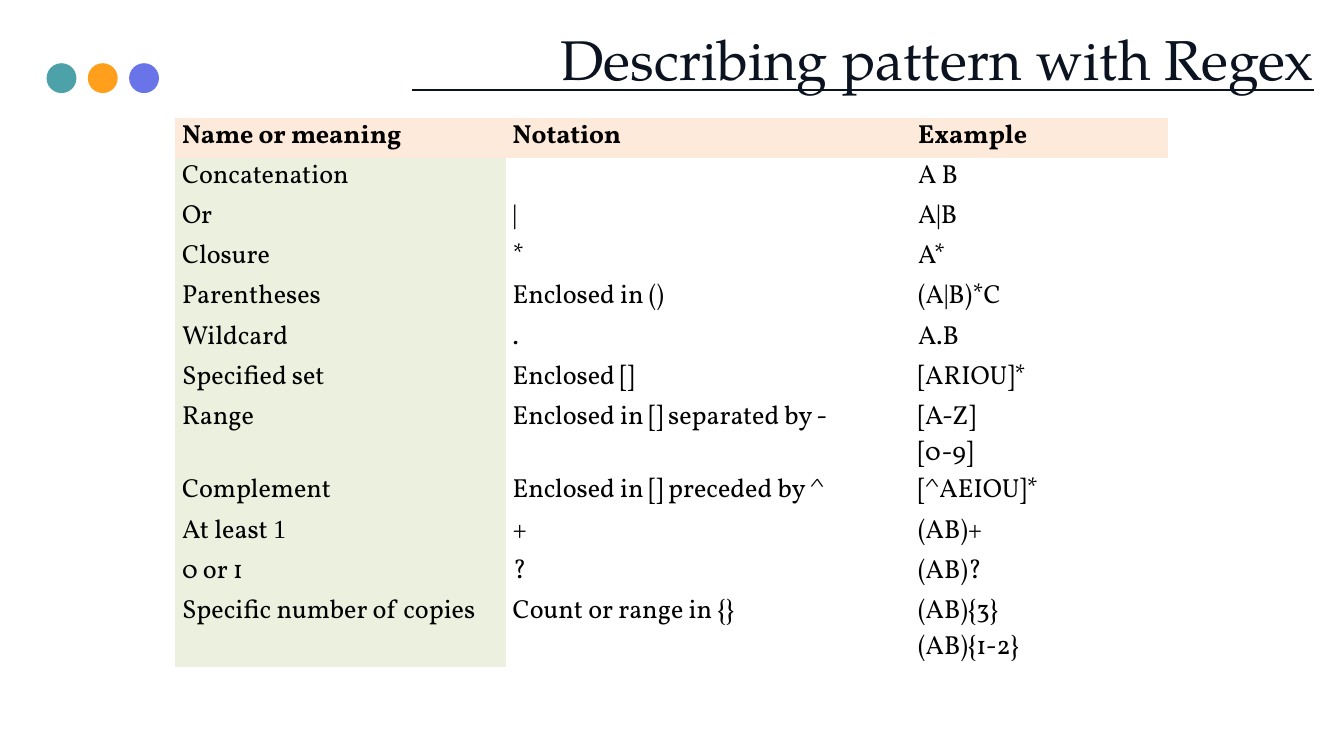
from lxml.etree import SubElement
from pptx import Presentation
from pptx.dml.color import RGBColor
from pptx.enum.shapes import MSO_CONNECTOR, MSO_SHAPE
from pptx.enum.text import MSO_ANCHOR, MSO_AUTO_SIZE, PP_ALIGN
from pptx.oxml.ns import qn
from pptx.util import Cm, Pt

COLOURS = {
    "ink": "0B1320", "text": "000000", "header": "FDEADA", "names": "EBF1DE",
    "teal": "4DA1A9", "orange": "FF9F1C", "violet": "6874E8",
}
TITLE_FONT, BODY_FONT, DIGIT_FONT = "TeX Gyre Pagella", "Vollkorn", "Times New Roman"
NO_GRID_STYLE = "{2D5ABB26-0587-4C30-8999-92F81FD0307C}"
COLUMN_WIDTHS = (12.5, 15.32, 9.7)
LINE_HEIGHTS = {1: 1.52, 2: 2.77}

# A line break starts a new paragraph.
NOTATIONS = [
    ("Name or meaning", "Notation", "Example"),
    ("Concatenation", "", "A B"),
    ("Or", "|", "A|B"),
    ("Closure", "*", "A*"),
    ("Parentheses", "Enclosed in ()", "(A|B)*C"),
    ("Wildcard", ".", "A.B"),
    ("Specified set", "Enclosed []", "[ARIOU]*"),
    ("Range", "Enclosed in [] separated by -", "[A-Z]\n[0-9]"),
    ("Complement", "Enclosed in [] preceded by ^", "[^AEIOU]*"),
    ("At least 1", "+", "(AB)+"),
    ("0 or 1", "?", "(AB)?"),
    ("Specific number of copies", "Count or range in {}", "(AB){3}\n(AB){1-2}"),
]


def colour(key):
    return RGBColor.from_string(COLOURS[key])


def set_all(target, formats):
    for attribute, value in formats.items():
        setattr(target, attribute, value)


def add_run(paragraph, text, font, size, ink, bold=False):
    run = paragraph.add_run()
    run.text = text
    set_all(run.font, {"name": font, "size": Pt(size), "bold": bold})
    run.font.color.rgb = colour(ink)


def add_title(slide, left, top, width, height):
    """Right-aligned title with a rule crossing its descenders."""
    frame = slide.shapes.add_textbox(Cm(left), Cm(top), Cm(width), Cm(height)).text_frame
    set_all(frame, {
        "margin_left": 0, "margin_right": 0, "margin_top": 0, "margin_bottom": 0,
        "word_wrap": True, "auto_size": MSO_AUTO_SIZE.SHAPE_TO_FIT_TEXT,
    })
    heading = frame.paragraphs[0]
    set_all(heading, {"alignment": PP_ALIGN.RIGHT, "line_spacing": 1.2})
    add_run(heading, "Describing pattern with Regex", TITLE_FONT, 60, "ink")

    right, rule_y = left + width, top + height - 0.1
    rule = slide.shapes.add_connector(
        MSO_CONNECTOR.STRAIGHT, Cm(right - 34.09), Cm(rule_y), Cm(right), Cm(rule_y))
    rule.line.width = Pt(3)
    rule.line.color.rgb = colour("ink")
    SubElement(rule._element.spPr, qn("a:effectLst"))


def add_dots(slide, left, top, diameter, pitch):
    for index, key in enumerate(("teal", "orange", "violet")):
        dot = slide.shapes.add_shape(
            MSO_SHAPE.OVAL, Cm(left + index * pitch), Cm(top), Cm(diameter), Cm(diameter))
        dot.shadow.inherit = False
        dot.fill.solid()
        dot.fill.fore_color.rgb = colour(key)
        dot.line.fill.background()


def fill_cell(cell, text, fill, bold):
    set_all(cell, {"margin_left": Cm(0.25), "margin_right": Cm(0.25), "margin_top": 0,
                   "margin_bottom": 0, "vertical_anchor": MSO_ANCHOR.TOP})
    if fill:
        cell.fill.solid()
        cell.fill.fore_color.rgb = colour(fill)
    else:
        cell.fill.background()
    for index, line in enumerate(text.split("\n")):
        frame = cell.text_frame
        paragraph = frame.add_paragraph() if index else frame.paragraphs[0]
        if line == "At least 1":
            add_run(paragraph, line[:-1], BODY_FONT, 28, "text")
            add_run(paragraph, line[-1], DIGIT_FONT, 28, "text")
        elif line:
            add_run(paragraph, line, BODY_FONT, 28, "text", bold)


def add_notation_table(slide, left, top):
    heights = [LINE_HEIGHTS[1 + example.count("\n")] for _, _, example in NOTATIONS]
    table = slide.shapes.add_table(
        len(NOTATIONS), len(COLUMN_WIDTHS), Cm(left), Cm(top),
        Cm(sum(COLUMN_WIDTHS)), Cm(sum(heights))).table
    table.horz_banding = False
    table._tbl.tblPr.find(qn("a:tableStyleId")).text = NO_GRID_STYLE
    for column, width in zip(table.columns, COLUMN_WIDTHS):
        column.width = Cm(width)
    for r, (texts, height) in enumerate(zip(NOTATIONS, heights)):
        table.rows[r].height = Cm(height)
        for c, text in enumerate(texts):
            fill = "header" if r == 0 else "names" if c == 0 else None
            fill_cell(table.cell(r, c), text, fill, bold=r == 0)


def main():
    deck = Presentation()
    set_all(deck, {"slide_width": Cm(50.8), "slide_height": Cm(28.58)})
    slide = deck.slides.add_slide(deck.slide_layouts[6])
    add_title(slide, 12.83, 0.43, 36.83, 3.07)
    add_dots(slide, 1.76, 2.39, 1.13, 1.56)
    add_notation_table(slide, 6.63, 4.47)
    deck.save("out.pptx")


if __name__ == "__main__":
    main()
